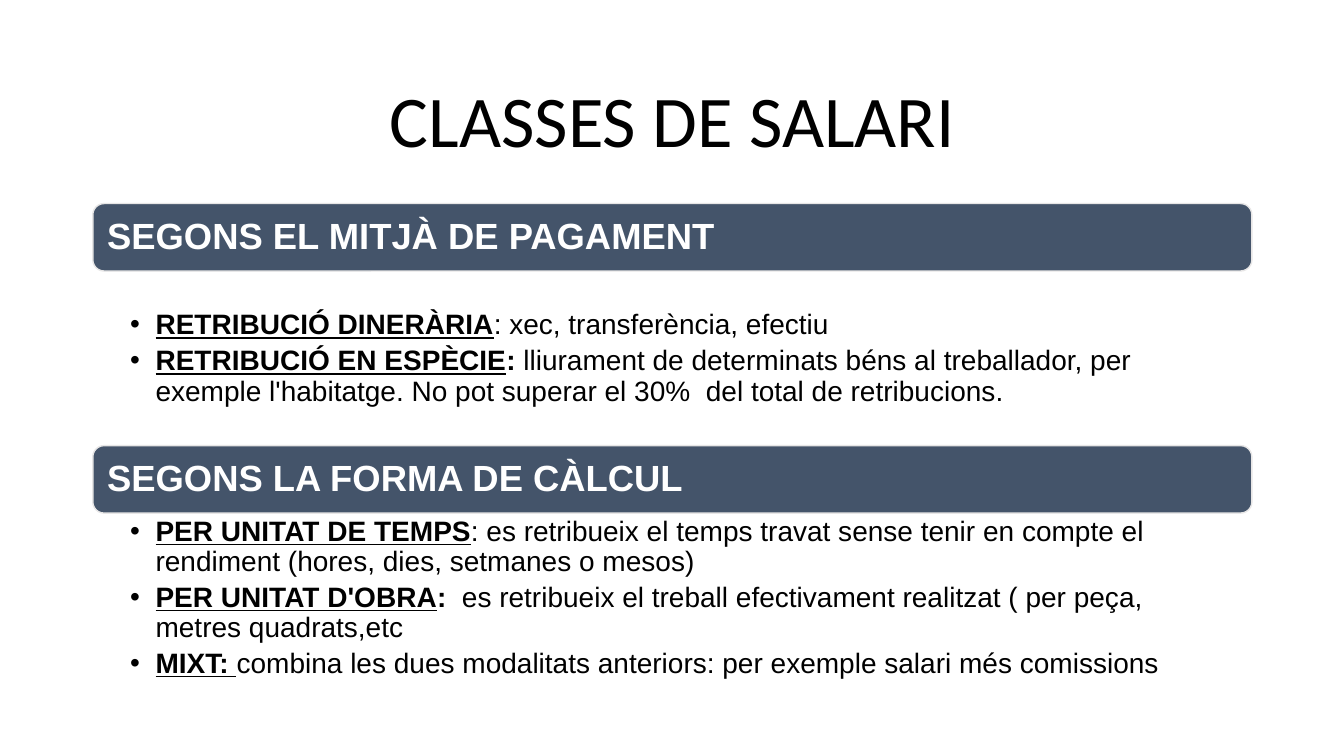
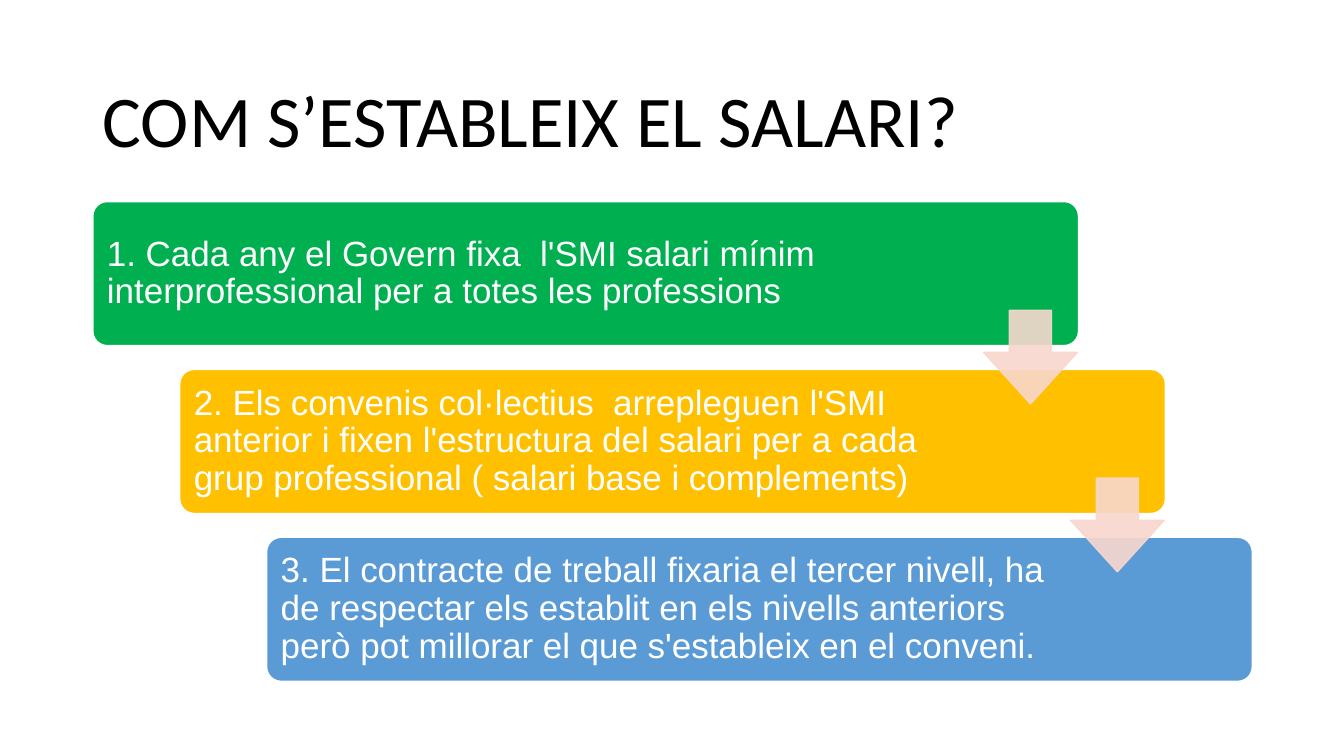
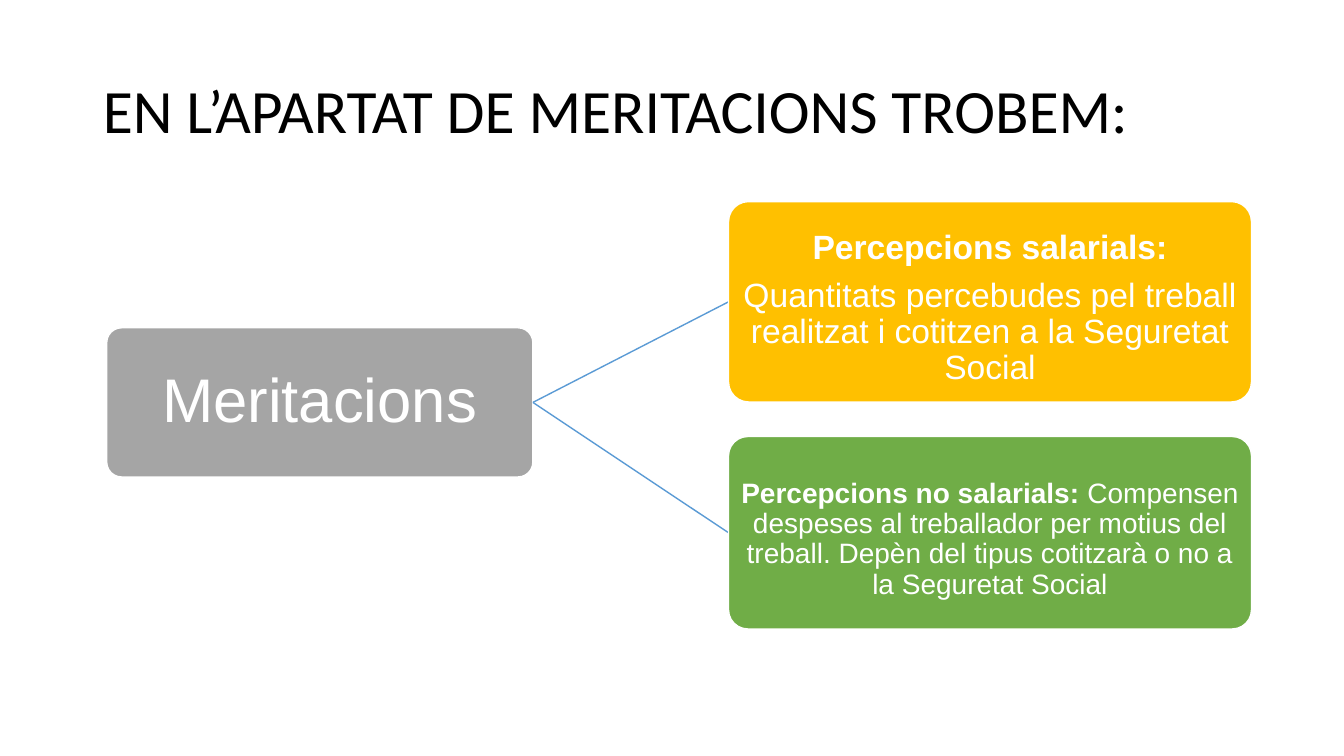
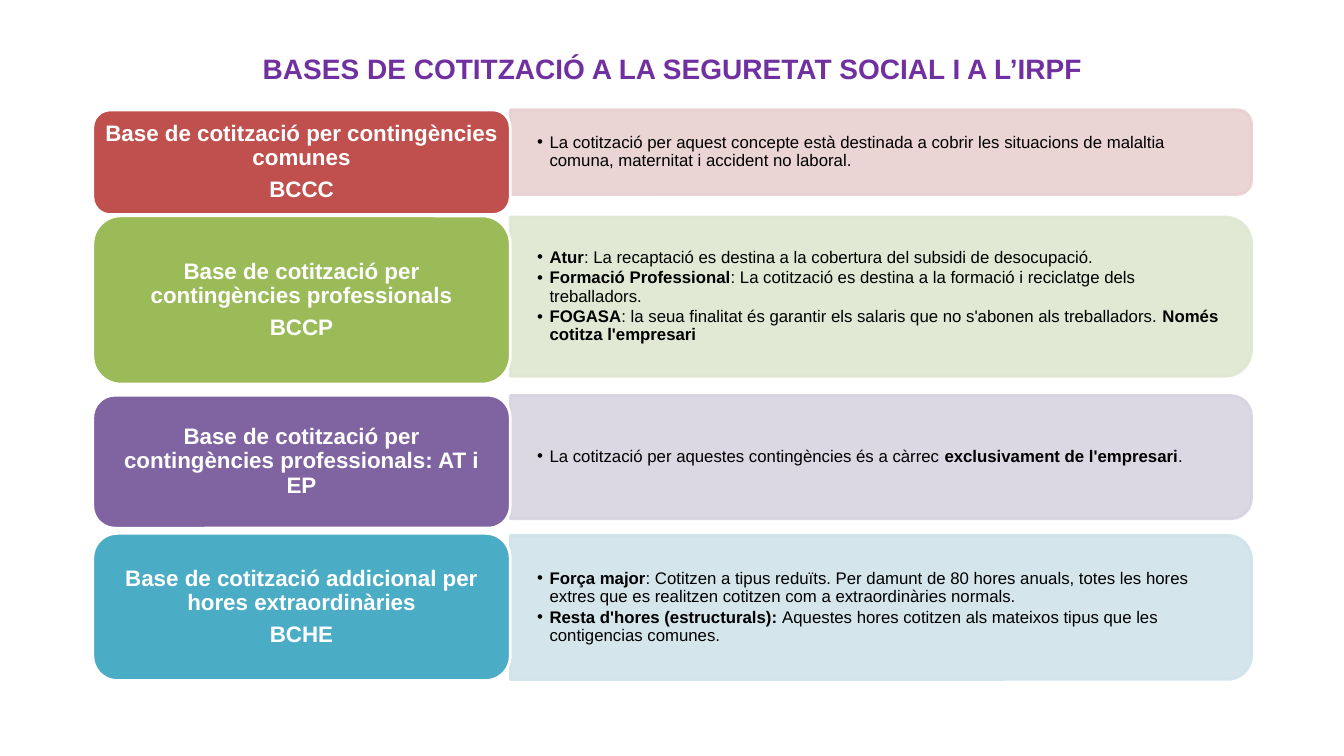
from dataclasses import dataclass
from typing import NamedTuple

from lxml.etree import SubElement
from pptx import Presentation
from pptx.dml.color import RGBColor
from pptx.enum.shapes import MSO_CONNECTOR, MSO_SHAPE
from pptx.enum.text import MSO_ANCHOR, MSO_AUTO_SIZE, PP_ALIGN
from pptx.oxml.ns import qn
from pptx.util import Cm, Pt

WHITE, BLACK = "FFFFFF", "000000"
SLATE, SILVER, PURPLE = "44546A", "E7E6E6", "7030A0"
GREEN, AMBER, BLUE = "00B050", "FFC000", "5B9BD5"
GREY, LEAF, PEACH = "A5A5A5", "70AD47", "F8D7CE"

LEFT, WIDTH = 2.34, 29.21
TITLE_ONLY, TWO_CONTENT = 5, 3


class Box(NamedTuple):
    """Place and size in centimetres."""
    x: float
    y: float
    w: float
    h: float


class Insets(NamedTuple):
    left: float
    top: float
    right: float
    bottom: float


class Run(NamedTuple):
    text: str
    bold: bool = False
    underline: bool = False


Paragraphs = list[list[Run]]


@dataclass(frozen=True)
class Style:
    size: float
    color: str = WHITE
    font: str = "Arial"
    align: PP_ALIGN = PP_ALIGN.LEFT
    anchor: MSO_ANCHOR = MSO_ANCHOR.MIDDLE
    after: float = 0
    bullet: float = 0  # hanging indent in cm, 0 for no bullet


@dataclass(frozen=True)
class Section:
    heading: str
    y: float
    list_height: float
    list_top: float
    items: Paragraphs


@dataclass(frozen=True)
class Base:
    label: list[str]
    color: str
    tint: str
    label_y: float
    label_h: float
    panel_y: float
    panel_h: float
    items: Paragraphs


TITLE = Style(52, BLACK, "Calibri")
CENTRED_TITLE = Style(52, BLACK, "Calibri", PP_ALIGN.CENTER)
LONG_TITLE = Style(44, BLACK, "Calibri")
SMALL_TITLE = Style(20, PURPLE, align=PP_ALIGN.CENTER)
TITLE_BOX = Box(LEFT, 1.55, WIDTH, 3.15)
TITLE_INSETS = Insets(0.25, 0.13, 0.25, 0.13)

SECTIONS = [
    Section("SEGONS EL MITJÀ DE PAGAMENT", 5.13, 4.42, 1.0, [
        [Run("RETRIBUCIÓ DINERÀRIA", True, True),
         Run(": xec, transferència, efectiu")],
        [Run("RETRIBUCIÓ EN ESPÈCIE", True, True), Run(": ", True),
         Run("lliurament de determinats béns al treballador, per exemple "
             "l'habitatge. No pot superar el 30%  del total de retribucions.")],
    ]),
    Section("SEGONS LA FORMA DE CÀLCUL", 11.23, 4.19, 0.1, [
        [Run("PER UNITAT DE TEMPS", True, True),
         Run(": es retribueix el temps travat sense tenir en compte el "
             "rendiment (hores, dies, setmanes o mesos)")],
        [Run("PER UNITAT D'OBRA", True, True), Run(":  ", True),
         Run("es retribueix el treball efectivament realitzat ( per peça, "
             "metres quadrats,etc")],
        [Run("MIXT: ", True, True),
         Run("combina les dues modalitats anteriors: per exemple salari més "
             "comissions")],
    ]),
]

# Colour, right inset and wording of each step
STEPS = [
    (GREEN, 3.98, "1. Cada any el Govern fixa  l'SMI salari mínim "
                  "interprofessional per a totes les professions"),
    (AMBER, 4.81, "2. Els convenis col·lectius  arrepleguen l'SMI anterior i "
                  "fixen l'estructura del salari per a cada grup professional "
                  "( salari base i complements)"),
    (BLUE, 4.81, "3. El contracte de treball fixaria el tercer nivell, ha de "
                 "respectar els establit en els nivells anteriors però pot "
                 "millorar el que s'estableix en el conveni."),
]

# Colour, box, text size and wording of each branch
BRANCHES = [
    (AMBER, Box(18.36, 5.08, 13.18, 5.05), 24, [
        [Run("Percepcions salarials:", True)],
        [Run("Quantitats percebudes pel treball realitzat i cotitzen a la "
             "Seguretat Social")],
    ]),
    (LEAF, Box(18.36, 11, 13.18, 4.85), 20, [
        [Run("Percepcions no salarials: ", True),
         Run("Compensen despeses al treballador per motius del treball. Depèn "
             "del tipus cotitzarà o no a la Seguretat Social")],
    ]),
]

BASES = [
    Base(["Base de cotització per contingències comunes", "BCCC"],
         "C0504D", "E8D0D0", 2.77, 2.64, 2.77, 2.13, [
        [Run("La cotització per aquest concepte està destinada a cobrir les "
             "situacions de malaltia comuna, maternitat i accident no "
             "laboral.")],
    ]),
    Base(["Base de cotització per contingències professionals", "BCCP"],
         "9BBB59", "DEE7D1", 5.44, 4.24, 5.47, 4.01, [
        [Run("Atur", True), Run(": La recaptació es destina a la cobertura del "
                                "subsidi de desocupació.")],
        [Run("Formació Professional", True),
         Run(": La cotització es destina a la formació i reciclatge dels "
             "treballadors.")],
        [Run("FOGASA", True),
         Run(": la seua finalitat és garantir els salaris que no s'abonen als "
             "treballadors. "),
         Run("Només cotitza l'empresari", True)],
    ]),
    Base(["Base de cotització per contingències professionals: AT i EP"],
         "8064A2", "D8D3E0", 9.96, 3.35, 9.97, 3.1, [
        [Run("La cotització per aquestes contingències és a càrrec "),
         Run("exclusivament de l'empresari", True), Run(".")],
    ]),
    Base(["Base de cotització addicional per hores extraordinàries", "BCHE"],
         "4BACC6", "D0E3EA", 13.44, 3.71, 13.49, 3.63, [
        [Run("Força major", True),
         Run(": Cotitzen a tipus reduïts. Per damunt de 80 hores anuals, totes "
             "les hores extres que es realitzen cotitzen com a "
             "extraordinàries normals.")],
        [Run("Resta d'hores (estructurals): ", True),
         Run("Aquestes hores cotitzen als mateixos tipus que les contigencias "
             "comunes.")],
    ]),
]


def rgb(color: str) -> RGBColor:
    return RGBColor.from_string(color)


def place(sp, box: Box) -> None:
    sp.left, sp.top, sp.width, sp.height = (Cm(v) for v in box)


def set_bullet(p, indent: float) -> None:
    pPr = p._p.get_or_add_pPr()
    pPr.set("marL", str(Cm(indent)))
    pPr.set("indent", str(-Cm(indent)))
    if indent:
        SubElement(pPr, qn("a:buFont")).set("typeface", "Arial")
        SubElement(pPr, qn("a:buChar")).set("char", "•")


def write(tf, paragraphs: Paragraphs, style: Style, insets: Insets) -> None:
    tf.word_wrap = True
    tf.auto_size = MSO_AUTO_SIZE.NONE
    tf.vertical_anchor = style.anchor
    (tf.margin_left, tf.margin_top,
     tf.margin_right, tf.margin_bottom) = (Cm(v) for v in insets)
    for i, runs in enumerate(paragraphs):
        p = tf.add_paragraph() if i else tf.paragraphs[0]
        p.alignment = style.align
        p.line_spacing = 0.9
        p.space_before = Pt(0)
        p.space_after = Pt(style.after)
        set_bullet(p, style.bullet)
        for run in runs:
            r = p.add_run()
            r.text = run.text
            r.font.name = style.font
            r.font.size = Pt(style.size)
            r.font.color.rgb = rgb(style.color)
            r.font.bold = run.bold
            r.font.underline = run.underline


def add_slide(prs, layout: int, title: Run, style: Style,
              box: Box = TITLE_BOX):
    s = prs.slides.add_slide(prs.slide_layouts[layout])
    place(s.shapes.title, box)
    write(s.shapes.title.text_frame, [[title]], style, TITLE_INSETS)
    return s


def add_block(s, kind: MSO_SHAPE, box: Box, fill: str, line: str = WHITE,
              line_width: float = 1, adjust: tuple = (), alpha: int = 100):
    sp = s.shapes.add_shape(kind, *(Cm(v) for v in box))
    sp.shadow.inherit = False
    sp.fill.solid()
    sp.fill.fore_color.rgb = rgb(fill)
    sp.line.color.rgb = rgb(line)
    sp.line.width = Pt(line_width)
    for i, value in enumerate(adjust):
        sp.adjustments[i] = value
    if alpha < 100:
        for clr in sp._element.spPr.iter(qn("a:srgbClr")):
            SubElement(clr, qn("a:alpha")).set("val", str(alpha * 1000))
    return sp


def add_line(s, x1: float, y1: float, x2: float, y2: float) -> None:
    c = s.shapes.add_connector(MSO_CONNECTOR.STRAIGHT,
                               Cm(x1), Cm(y1), Cm(x2), Cm(y2))
    c.line.color.rgb = rgb(BLUE)
    c.line.width = Pt(1)
    SubElement(c._element.spPr, qn("a:effectLst"))


def build_salary_classes(prs) -> None:
    s = add_slide(prs, TWO_CONTENT, Run("CLASSES DE SALARI"), CENTRED_TITLE)
    bar_height = 1.7
    bodies = [ph for ph in s.placeholders if ph.placeholder_format.idx in (1, 2)]
    list_style = Style(20, BLACK, anchor=MSO_ANCHOR.TOP, after=4, bullet=0.64)
    for section, body in zip(SECTIONS, bodies):
        bar = add_block(s, MSO_SHAPE.ROUNDED_RECTANGLE,
                        Box(LEFT, section.y, WIDTH, bar_height), SLATE, SILVER)
        write(bar.text_frame, [[Run(section.heading, True)]], Style(26),
              Insets(0.28, 0.28, 0.28, 0.28))
        place(body, Box(LEFT, section.y + bar_height, WIDTH,
                        section.list_height))
        write(body.text_frame, section.items, list_style,
              Insets(0.94, section.list_top, 0.5, 0.1))


def build_salary_steps(prs) -> None:
    s = add_slide(prs, TITLE_ONLY, Run("COM S’ESTABLEIX EL SALARI?"), TITLE)
    dx, dy = 2.19, 4.23
    for i, (color, right, text) in enumerate(STEPS):
        sp = add_block(s, MSO_SHAPE.ROUNDED_RECTANGLE,
                       Box(LEFT + i * dx, 5.08 + i * dy, 24.84, 3.63), color,
                       adjust=(0.1,))
        write(sp.text_frame, [[Run(text)]], Style(25),
              Insets(0.25, 0.25, right, 0.25))
    for i in range(len(STEPS) - 1):
        add_block(s, MSO_SHAPE.DOWN_ARROW,
                  Box(24.79 + i * dx, 7.82 + i * dy, 2.36, 2.36), PEACH, PEACH,
                  adjust=(0.45, 0.55), alpha=90)


def build_earnings_tree(prs) -> None:
    s = add_slide(prs, TITLE_ONLY, Run("EN L’APARTAT DE MERITACIONS TROBEM:"),
                  LONG_TITLE, Box(LEFT, 1.02, WIDTH, 3.68))
    root = Box(2.69, 8.26, 10.74, 3.76)
    sp = add_block(s, MSO_SHAPE.ROUNDED_RECTANGLE, root, GREY, adjust=(0.1,))
    write(sp.text_frame, [[Run("Meritacions")]],
          Style(44, align=PP_ALIGN.CENTER), Insets(0.08, 0.08, 0.08, 0.08))
    for color, box, size, paragraphs in BRANCHES:
        add_line(s, root.x + root.w, root.y + root.h / 2,
                 box.x, box.y + box.h / 2)
        sp = add_block(s, MSO_SHAPE.ROUNDED_RECTANGLE, box, color,
                       adjust=(0.1,))
        write(sp.text_frame, paragraphs,
              Style(size, align=PP_ALIGN.CENTER, after=size * 0.35),
              Insets(0.05, 0.4, 0.05, 0.05))


def add_panel(s, box: Box, color: str) -> None:
    """Panel with its two right corners rounded: a quarter-turned shape."""
    turned = Box(box.x + (box.w - box.h) / 2, box.y - (box.w - box.h) / 2,
                 box.h, box.w)
    sp = add_block(s, MSO_SHAPE.ROUND_2_SAME_RECTANGLE, turned, color, color,
                   line_width=2, alpha=90)
    sp.rotation = 90


def build_contribution_bases(prs) -> None:
    title = Run("BASES DE COTITZACIÓ A LA SEGURETAT SOCIAL I A L’IRPF", True)
    s = add_slide(prs, TITLE_ONLY, title, SMALL_TITLE,
                  Box(LEFT, 1.02, WIDTH, 1.5))
    label_width, panel_width, text_width = 10.52, 18.68, 18.54
    panel_x = LEFT + label_width
    label_style = Style(16, align=PP_ALIGN.CENTER, after=5.6)
    item_style = Style(12, BLACK, after=1.8, bullet=0.31)
    for base in BASES:
        add_panel(s, Box(panel_x, base.panel_y, panel_width, base.panel_h),
                  base.tint)
        tb = s.shapes.add_textbox(Cm(panel_x), Cm(base.panel_y),
                                  Cm(text_width), Cm(base.panel_h))
        write(tb.text_frame, base.items, item_style,
              Insets(0.68, 0.36, 0.68, 0.36))
        label = add_block(s, MSO_SHAPE.ROUNDED_RECTANGLE,
                          Box(LEFT, base.label_y, label_width, base.label_h),
                          base.color, line_width=2)
        write(label.text_frame, [[Run(text, True)] for text in base.label],
              label_style, Insets(0.17, 0.08, 0.17, 0.08))


def main() -> None:
    prs = Presentation()
    prs.slide_width, prs.slide_height = Cm(33.87), Cm(19.05)
    build_salary_classes(prs)
    build_salary_steps(prs)
    build_earnings_tree(prs)
    build_contribution_bases(prs)
    prs.save("out.pptx")


if __name__ == "__main__":
    main()
